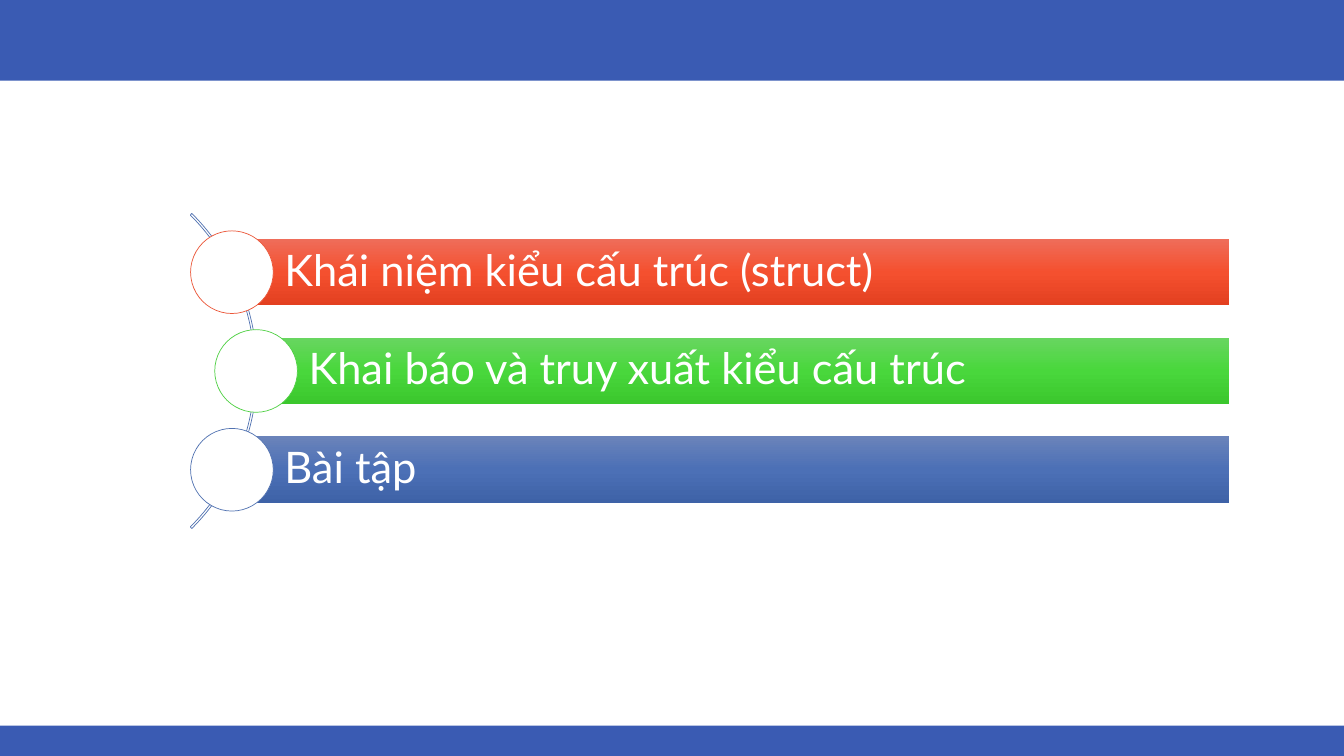
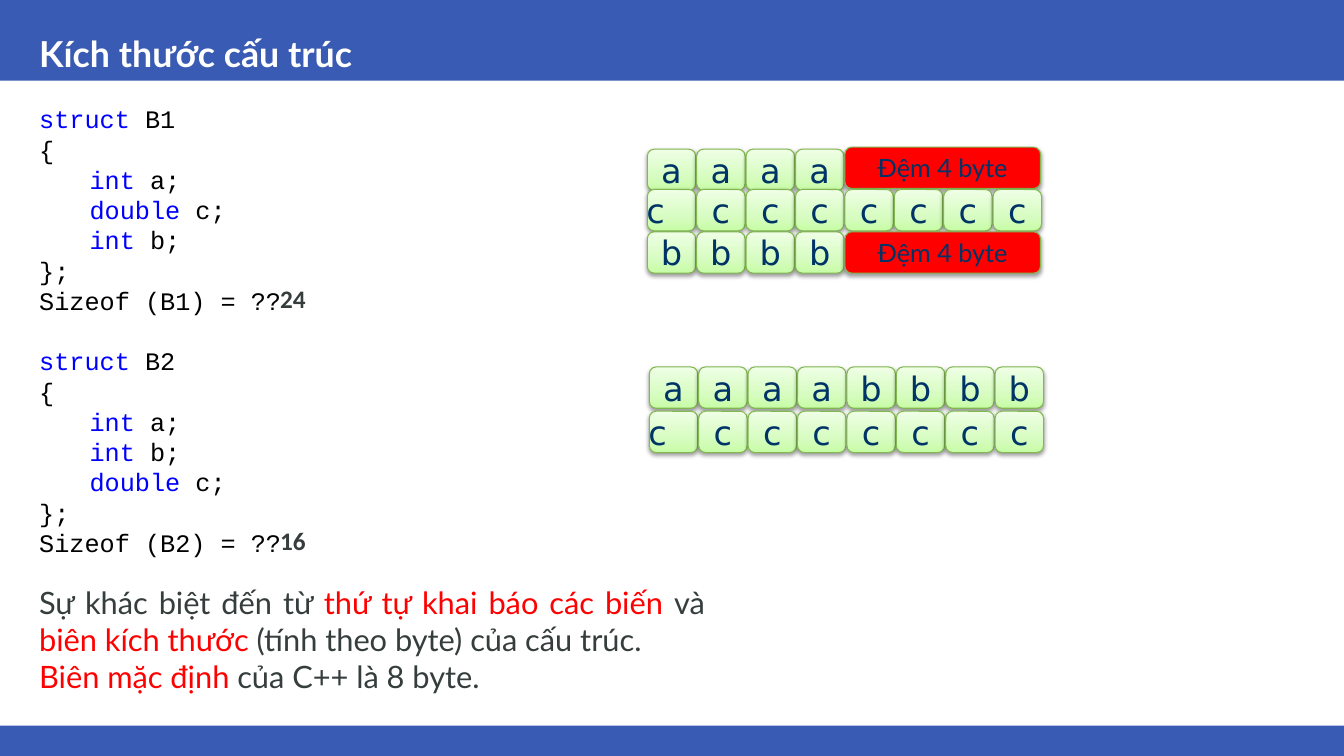
from pptx import Presentation, util as u
from pptx.dml import color
from pptx.enum import shapes, text
from pptx.oxml import parse_xml
from pptx.oxml import ns

Inches, Pt = u.Inches, u.Pt
Shape, Align, Anchor = shapes.MSO_SHAPE, text.PP_ALIGN, text.MSO_ANCHOR

BLUE, WHITE, BLACK, RED = "3A5BB3", "FFFFFF", "000000", "FF0000"
KEYWORD, INK, NAVY = "0000FF", "363D3D", "003366"
LEAF, ARC = "82B850", "5172B1"
BYTE_FILL = ([(0, "C7FDA6"), (35, "D7FCC1"), (100, "EFFFE6")], 270)
BYTE_WIDTH, BYTE_HEIGHT, BYTE_STEP = 0.48, 0.41, 0.49


def rgb(value):
    return color.RGBColor.from_string(value)


class Deck:
    """Hold the shared style and the current slide, with a method per element."""

    def __init__(self):
        self.prs = Presentation()
        self.prs.slide_width, self.prs.slide_height = Inches(13.33), Inches(7.5)
        self.slide = None

    def new_slide(self, title=None):
        self.slide = self.prs.slides.add_slide(self.prs.slide_layouts[6])
        self.shape(Shape.RECTANGLE, (0, 0, 13.33, 0.8), BLUE)
        self.shape(Shape.RECTANGLE, (0, 7.2, 13.33, 0.3), BLUE)
        if title:
            heading = self.textbox((0.29, 0, 12.76, 0.8), [[(title, WHITE)]], 25.5, bold=True)
            heading.vertical_anchor = Anchor.BOTTOM
            heading.paragraphs[0].line_spacing = 0.9

    def shape(self, preset, box, fill=None, line=None, width=0.5, adjust=()):
        item = self.slide.shapes.add_shape(preset, *map(Inches, box))
        item.shadow.inherit = False
        for index, value in enumerate(adjust):
            item.adjustments[index] = value
        if fill is None:
            item.fill.background()
        elif isinstance(fill, str):
            item.fill.solid()
            item.fill.fore_color.rgb = rgb(fill)
        else:
            self.gradient(item, *fill)
        if line:
            item.line.color.rgb = rgb(line)
            item.line.width = Pt(width)
        else:
            item.line.fill.background()
        return item

    def gradient(self, item, stops, angle):
        marks = "".join(
            f'<a:gs pos="{pos * 1000}"><a:srgbClr val="{value}"/></a:gs>' for pos, value in stops
        )
        geometry = item.element.spPr.find(ns.qn("a:prstGeom"))
        geometry.addnext(parse_xml(
            f'<a:gradFill {ns.nsdecls("a")} rotWithShape="1"><a:gsLst>{marks}</a:gsLst>'
            f'<a:lin ang="{angle * 60000}" scaled="0"/></a:gradFill>'
        ))

    def drop_shadow(self, item):
        item.element.spPr.find(ns.qn("a:effectLst")).append(parse_xml(
            f'<a:outerShdw {ns.nsdecls("a")} blurRad="{Pt(3.1)}" dist="{Pt(1.6)}" dir="5400000" '
            'rotWithShape="0"><a:srgbClr val="000000"><a:alpha val="38000"/></a:srgbClr>'
            '</a:outerShdw>'
        ))

    def add_lines(self, frame, lines, size, font="Lato", bold=False, align=Align.LEFT):
        for index, runs in enumerate(lines):
            paragraph = frame.add_paragraph() if index else frame.paragraphs[0]
            paragraph.alignment = align
            for words, ink in runs:
                run = paragraph.add_run()
                run.text = words
                run.font.name, run.font.size, run.font.bold = font, Pt(size), bold
                run.font.color.rgb = rgb(ink)

    def textbox(self, box, lines, size, **style):
        frame = self.slide.shapes.add_textbox(*map(Inches, box)).text_frame
        frame.word_wrap = True
        self.add_lines(frame, lines, size, **style)
        return frame

    def topic(self, left, middle, label, stops, outline):
        bar = self.shape(Shape.RECTANGLE, (left, middle - 0.33, 12.19 - left, 0.66), (stops, 90))
        frame = bar.text_frame
        frame.word_wrap = True
        frame.vertical_anchor = Anchor.MIDDLE
        frame.margin_left = Inches(0.52)
        frame.margin_top = frame.margin_right = frame.margin_bottom = Inches(0.09)
        self.add_lines(frame, [[(label, WHITE)]], 31)
        frame.paragraphs[0].line_spacing = 0.9
        self.shape(Shape.OVAL, (left - 0.41, middle - 0.41, 0.82, 0.82), WHITE, outline)

    def memory_block(self, left, top, label, width=BYTE_WIDTH, fill=BYTE_FILL,
                     size=24, font="DejaVu Sans"):
        block = self.shape(Shape.ROUNDED_RECTANGLE, (left, top, width, BYTE_HEIGHT),
                           fill, LEAF, 0.75, [0.167])
        self.drop_shadow(block)
        frame = block.text_frame
        frame.word_wrap = False
        frame.vertical_anchor = Anchor.MIDDLE
        self.add_lines(frame, [[(label, NAVY)]], size, font, align=Align.CENTER)

    def memory_row(self, left, top, labels, padding_top=None):
        for index, label in enumerate(labels):
            self.memory_block(left + index * BYTE_STEP, top, label)
        if padding_top:
            self.memory_block(left + len(labels) * BYTE_STEP, padding_top, "Đệm 4 byte",
                              1.94, RED, 18, "Lato")

    def struct_code(self, top, name, fields, byte_count):
        lines = [[("struct", KEYWORD), (f" {name}", BLACK)], [("{", BLACK)]]
        lines += [[(f"\t{kind}", KEYWORD), (f" {field};", BLACK)] for kind, field in fields]
        lines += [[("};", BLACK)], [(f"Sizeof ({name}) = ??", BLACK)]]
        self.textbox((0.29, top, 2.96, 2.22), lines, 18, font="Courier New")
        self.textbox((2.68, top + 1.78, 0.74, 0.4), [[(byte_count, INK)]], 18,
                     font="Calibri", bold=True)


def build_agenda(deck):
    deck.new_slide()
    deck.shape(Shape.BLOCK_ARC, (-1.87, 1.47, 4.42, 4.42), None, ARC, adjust=[189, 27, 0.005])
    topics = [
        (2.3, "Khái niệm kiểu cấu trúc (struct)", ("EF6D5A", "F4502F", "E34020"), "EB5638"),
        (2.54, "Khai báo và truy xuất kiểu cấu trúc", ("68D660", "49D73C", "3BC72D"), "4FD043"),
        (2.3, "Bài tập", ("6A83BA", "4C70B6", "3E62A7"), ARC),
    ]
    for index, (left, label, shades, outline) in enumerate(topics):
        stops = list(zip((0, 50, 100), shades))
        deck.topic(left, 2.7 + index * 0.98, label, stops, outline)


def build_struct_size(deck):
    deck.new_slide("Kích thước cấu trúc")
    deck.struct_code(0.98, "B1", [("int", "a"), ("double", "c"), ("int", "b")], "24")
    deck.struct_code(3.38, "B2", [("int", "a"), ("int", "b"), ("double", "c")], "16")
    conclusion = [
        [("Sự khác biệt đến từ ", INK), ("thứ tự khai báo các biến ", RED), ("và ", INK),
         ("biên kích thước ", RED), ("(tính theo byte) của cấu trúc.", INK)],
        [("Biên mặc định ", RED), ("của C++ là 8 byte.", INK)],
    ]
    deck.textbox((0.29, 5.74, 6.8, 1.4), conclusion, 22, align=Align.JUSTIFY)
    double_bytes = ["c\t"] + ["c"] * 7
    deck.memory_row(6.42, 1.48, "aaaa", padding_top=1.46)
    deck.memory_row(6.42, 1.88, double_bytes)
    deck.memory_row(6.42, 2.3, "bbbb", padding_top=2.3)
    deck.memory_row(6.44, 3.64, "aaaabbbb")
    deck.memory_row(6.44, 4.08, double_bytes)


def main():
    deck = Deck()
    build_agenda(deck)
    build_struct_size(deck)
    deck.prs.save("out.pptx")


if __name__ == "__main__":
    main()
